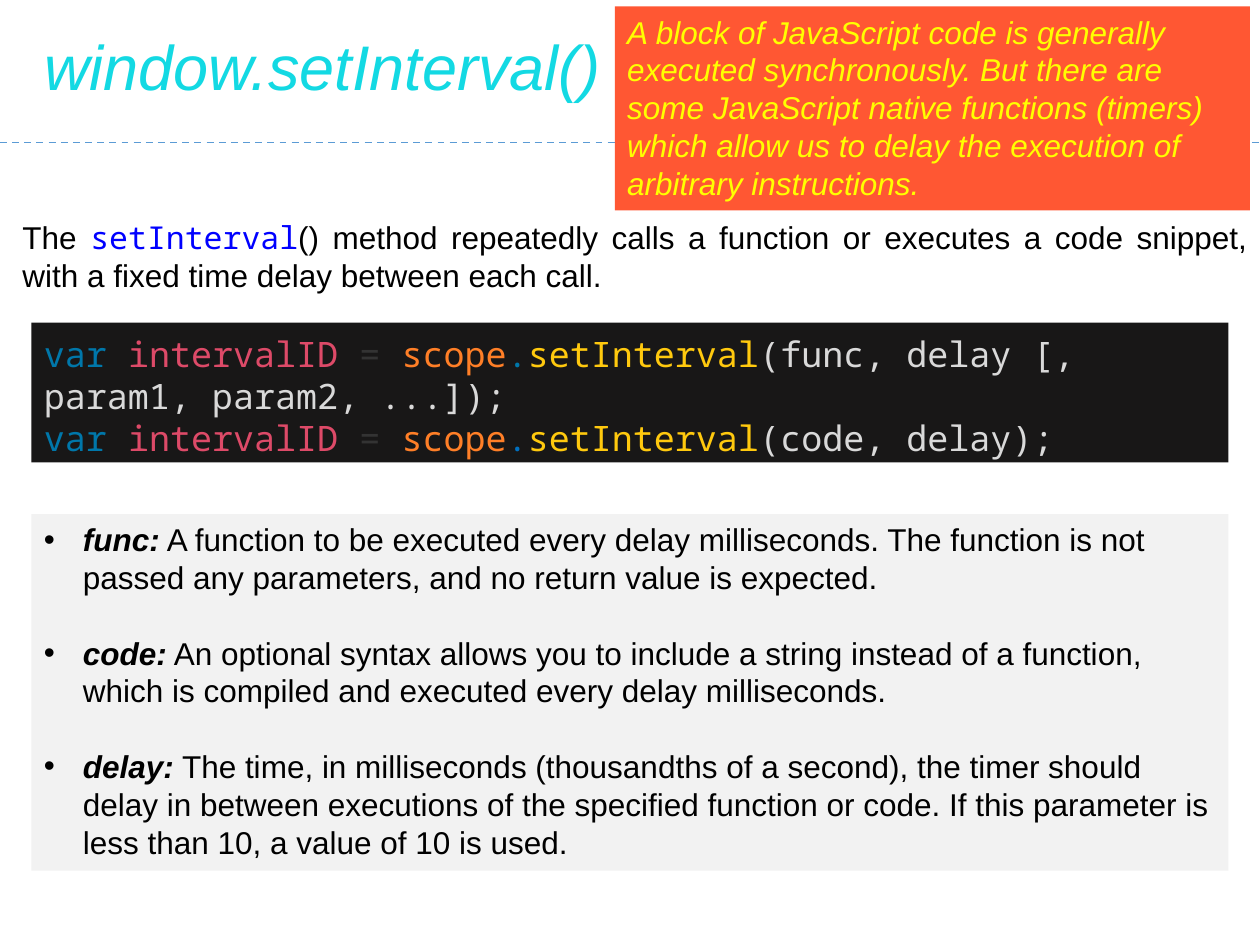
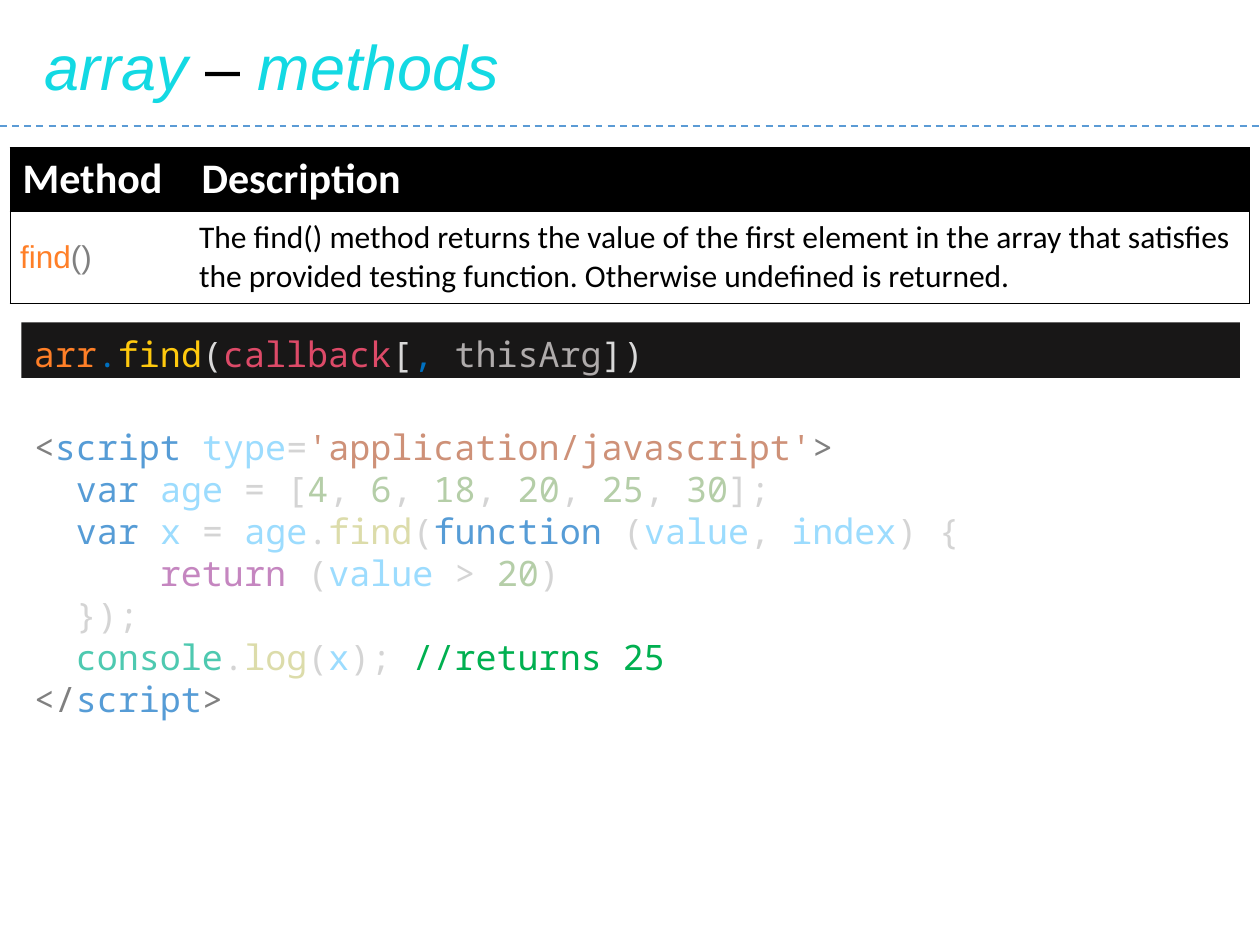
from dataclasses import dataclass
from lxml import etree
from pptx import Presentation
from pptx.dml.color import RGBColor
from pptx.enum.dml import MSO_LINE
from pptx.enum.shapes import MSO_CONNECTOR, MSO_SHAPE
from pptx.enum.text import MSO_ANCHOR, MSO_AUTO_SIZE, PP_ALIGN
from pptx.oxml.ns import qn
from pptx.util import Inches, Pt

STRAIGHT, RECTANGLE, DASH = MSO_CONNECTOR.STRAIGHT, MSO_SHAPE.RECTANGLE, MSO_LINE.DASH
TOP, MIDDLE, FIXED = MSO_ANCHOR.TOP, MSO_ANCHOR.MIDDLE, MSO_AUTO_SIZE.NONE
LEFT, JUSTIFY = PP_ALIGN.LEFT, PP_ALIGN.JUSTIFY


@dataclass(frozen=True)
class Theme:
    sans: str = "Arial"
    mono: str = "Noto Sans Mono"
    table: str = "Calibri"
    title_size: int = 36
    heading_size: int = 24
    code_size: int = 20
    body_size: int = 18
    leading: float = 1.2
    title: str = "13D9E3"
    text: str = "000000"
    white: str = "FFFFFF"
    rule: str = "5B9BD5"
    callout: str = "FF5733"
    callout_text: str = "FFFF00"
    panel: str = "F2F2F2"
    code_panel: str = "181717"
    link: str = "0000FF"


THEME = Theme()
WIDTH, HEIGHT = 10, 7.5
TITLE_BOX = (0.25, 0.17, 9.42, 0.71)

SYNTAX = {
    "keyword": "0077AA", "name": "DD4A68", "equals": "333333", "object": "FF7F27",
    "dot": "0070C0", "method": "FFC90E", "plain": "D9D9D9", "optional": "AFABAB",
}
EDITOR = {
    "bracket": "808080", "keyword": "569CD6", "name": "9CDCFE", "plain": "D4D4D4",
    "string": "CE9178", "number": "B5CEA8", "method": "DCDCAA", "return": "C586C0",
    "class": "4EC9B0", "comment": "00B050",
}

INTERVAL_TITLE = [("window.setInterval()", {"italic": True, "color": THEME.title})]
CALLOUT = ("A block of JavaScript code is generally executed synchronously. But there are "
           "some JavaScript native functions (timers) which allow us to delay the "
           "execution of arbitrary instructions.")
INTERVAL_SUMMARY = [
    ("The ", {}),
    ("setInterval", {"font": THEME.mono, "color": THEME.link}),
    ("() method repeatedly calls a function or executes a code snippet, with a fixed "
     "time delay between each call.", {}),
]
INTERVAL_SYNTAX = [
    [("var ", "keyword"), ("intervalID ", "name"), ("= ", "equals"), ("scope", "object"),
     (".", dot), ("setInterval", "method"), (arguments, "plain")]
    for dot, arguments in [("keyword", "(func, delay [, param1, param2, ...]);"),
                           ("dot", "(code, delay);")]
]
PARAMETERS = [
    ("func:", " A function to be executed every delay milliseconds. The function is not "
              "passed any parameters, and no return value is expected."),
    ("code:", " An optional syntax allows you to include a string instead of a function, "
              "which is compiled and executed every delay milliseconds."),
    ("delay:", " The time, in milliseconds (thousandths of a second), the timer should "
               "delay in between executions of the specified function or code. If this "
               "parameter is less than 10, a value of 10 is used."),
]

METHODS_TITLE = [
    ("array", {"italic": True, "color": THEME.title}),
    (" – ", {}),
    ("methods", {"italic": True, "color": THEME.title}),
]
METHOD_HEADINGS = ["Method", "Description"]
METHOD_ROW = [
    [("find", {"font": THEME.sans, "color": SYNTAX["object"]}),
     ("()", {"font": THEME.sans, "color": EDITOR["bracket"]})],
    [("The find() method returns the value of the first element in the array that "
      "satisfies the provided testing function. Otherwise undefined is returned.", {})],
]
METHOD_COLUMNS = [1.42, 8.42]
METHOD_ROWS = [0.49, 0.73]
FIND_SYNTAX = [
    [("arr", "object"), (".", "dot"), ("find", "method"), ("(", "plain"),
     ("callback", "name"), ("[", "plain"), (", ", "dot"), ("thisArg", "optional"),
     ("])", "plain")],
]
AGES = ["4", "6", "18", "20", "25", "30"]
AGE_SPANS = [span for age in AGES for span in ((", ", "plain"), (age, "number"))][1:]
FIND_EXAMPLE = [
    [("<", "bracket"), ("script ", "keyword"), ("type", "name"), ("=", "plain"),
     ("'application/javascript'", "string"), (">", "bracket")],
    [("  var ", "keyword"), ("age", "name"), (" = [", "plain"), *AGE_SPANS, ("];", "plain")],
    [("  var ", "keyword"), ("x", "name"), (" = ", "plain"), ("age", "name"),
     (".", "plain"), ("find", "method"), ("(", "plain"), ("function", "keyword"),
     (" (", "plain"), ("value", "name"), (", ", "plain"), ("index", "name"),
     (") {", "plain")],
    [("      return ", "return"), ("(", "plain"), ("value", "name"), (" > ", "plain"),
     ("20", "number"), (")", "plain")],
    [("  });", "plain")],
    [("  console", "class"), (".", "plain"), ("log", "method"), ("(", "plain"),
     ("x", "name"), ("); ", "plain"), ("//returns 25", "comment")],
    [("</", "bracket"), ("script", "keyword"), (">", "bracket")],
]


def rgb(color):
    return RGBColor.from_string(color)


def add_span(para, text, font=THEME.sans, size=THEME.body_size, color=THEME.text,
             bold=False, italic=False):
    span = para.add_run()
    span.text = text
    span.font.name, span.font.size = font, Pt(size)
    span.font.bold, span.font.italic = bold, italic
    span.font.color.rgb = rgb(color)


def add_bullet(para):
    properties = para._p.get_or_add_pPr()
    indent = Inches(0.31)
    properties.set("marL", str(indent))
    properties.set("indent", str(-indent))
    etree.SubElement(properties, qn("a:buFont"), typeface=THEME.sans)
    etree.SubElement(properties, qn("a:buChar"), char="•")


def write(frame, paragraphs, align=LEFT, anchor=TOP, bullets=False, gap=0,
          leading=THEME.leading, size=THEME.body_size, **style):
    frame.word_wrap = True
    frame.auto_size = FIXED
    frame.vertical_anchor = anchor
    for index, spans in enumerate(paragraphs):
        para = frame.paragraphs[0] if index == 0 else frame.add_paragraph()
        if bullets:
            add_bullet(para)
        para.alignment = align
        para.line_spacing = Pt(size * leading)
        if index and gap:
            para.space_before = Pt(gap)
        for text, changes in spans:
            add_span(para, text, **{"size": size, **style, **changes})


def add_box(page, place, paragraphs, fill=None, **style):
    bounds = [Inches(value) for value in place]
    if fill:
        box = page.shapes.add_shape(RECTANGLE, *bounds)
        box.shadow.inherit = False
        box.fill.solid()
        box.fill.fore_color.rgb = rgb(fill)
        box.line.fill.background()
    else:
        box = page.shapes.add_textbox(*bounds)
    write(box.text_frame, paragraphs, **style)
    return box


def add_code(page, place, lines, palette, fill=None):
    colored = [[(text, {"color": palette[role]}) for text, role in line] for line in lines]
    box = add_box(page, place, colored, fill, font=THEME.mono, size=THEME.code_size)
    box.text_frame.margin_top = Inches(0.08)


def add_page(deck, title_spans, rule_top):
    page = deck.slides.add_slide(deck.slide_layouts[5])
    title = page.shapes.title
    title.left, title.top, title.width, title.height = map(Inches, TITLE_BOX)
    write(title.text_frame, [title_spans], size=THEME.title_size)
    rule = page.shapes.add_connector(
        STRAIGHT, 0, Inches(rule_top), Inches(WIDTH), Inches(rule_top))
    rule.line.color.rgb = rgb(THEME.rule)
    rule.line.width = Pt(1)
    rule.line.dash_style = DASH
    etree.SubElement(rule._element.spPr, qn("a:effectLst"))
    return page


def set_borders(cell, visible):
    properties = cell._tc.get_or_add_tcPr()
    for side in "LRTB":
        border = etree.SubElement(properties, qn("a:ln" + side), w=str(Pt(0.5)))
        if side in visible:
            fill = etree.SubElement(border, qn("a:solidFill"))
            etree.SubElement(fill, qn("a:srgbClr"), val=THEME.text)
        else:
            etree.SubElement(border, qn("a:noFill"))


def add_method_table(page):
    bounds = [Inches(v) for v in (0.08, 1.17, sum(METHOD_COLUMNS), sum(METHOD_ROWS))]
    table = page.shapes.add_table(len(METHOD_ROWS), len(METHOD_COLUMNS), *bounds).table
    table.first_row = table.horz_banding = False
    for column, width in zip(table.columns, METHOD_COLUMNS):
        column.width = Inches(width)
    for row, height in zip(table.rows, METHOD_ROWS):
        row.height = Inches(height)
    for index, side in enumerate("LR"):
        heading, detail = table.cell(0, index), table.cell(1, index)
        set_borders(heading, side + "T")
        heading.fill.solid()
        heading.fill.fore_color.rgb = rgb(THEME.text)
        add_span(heading.text_frame.paragraphs[0], METHOD_HEADINGS[index],
                 font=THEME.table, size=THEME.heading_size, color=THEME.white, bold=True)
        set_borders(detail, side + "TB")
        detail.fill.background()
        detail.vertical_anchor = MIDDLE
        detail.margin_left = detail.margin_right = Inches(0.08)
        detail.margin_top = detail.margin_bottom = Inches(0.06)
        for text, changes in METHOD_ROW[index]:
            add_span(detail.text_frame.paragraphs[0], text,
                     **{"font": THEME.table, **changes})


def build_interval_page(deck):
    page = add_page(deck, INTERVAL_TITLE, 1.13)
    add_box(page, (0.08, 1.68, 9.92, 0.71), [INTERVAL_SUMMARY], align=JUSTIFY)
    parameters = [[(name, {"bold": True, "italic": True}), (meaning, {})]
                  for name, meaning in PARAMETERS]
    add_box(page, (0.25, 4.08, 9.5, 2.83), parameters, THEME.panel, bullets=True,
            gap=THEME.body_size * THEME.leading)
    add_box(page, (4.88, 0.05, 5.04, 1.62), [[(CALLOUT, {})]], THEME.callout,
            color=THEME.callout_text, italic=True)
    add_code(page, (0.25, 2.56, 9.5, 1.11), INTERVAL_SYNTAX, SYNTAX, THEME.code_panel)


def build_methods_page(deck):
    page = add_page(deck, METHODS_TITLE, 1)
    add_method_table(page)
    add_code(page, (0.17, 2.56, 9.67, 0.44), FIND_SYNTAX, SYNTAX, THEME.code_panel)
    add_code(page, (0.17, 3.3, 9.42, 2.46), FIND_EXAMPLE, EDITOR)


def main():
    deck = Presentation()
    deck.slide_width, deck.slide_height = Inches(WIDTH), Inches(HEIGHT)
    build_interval_page(deck)
    build_methods_page(deck)
    deck.save("out.pptx")


if __name__ == "__main__":
    main()
